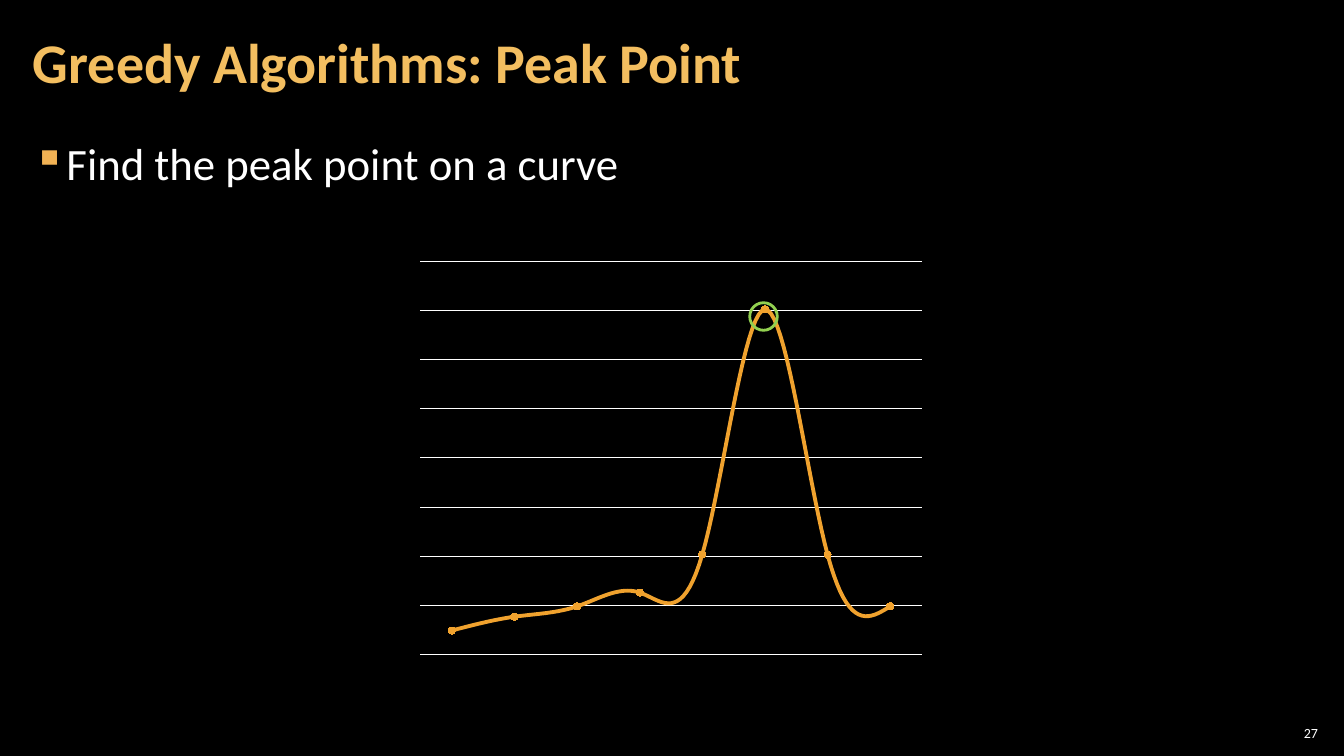
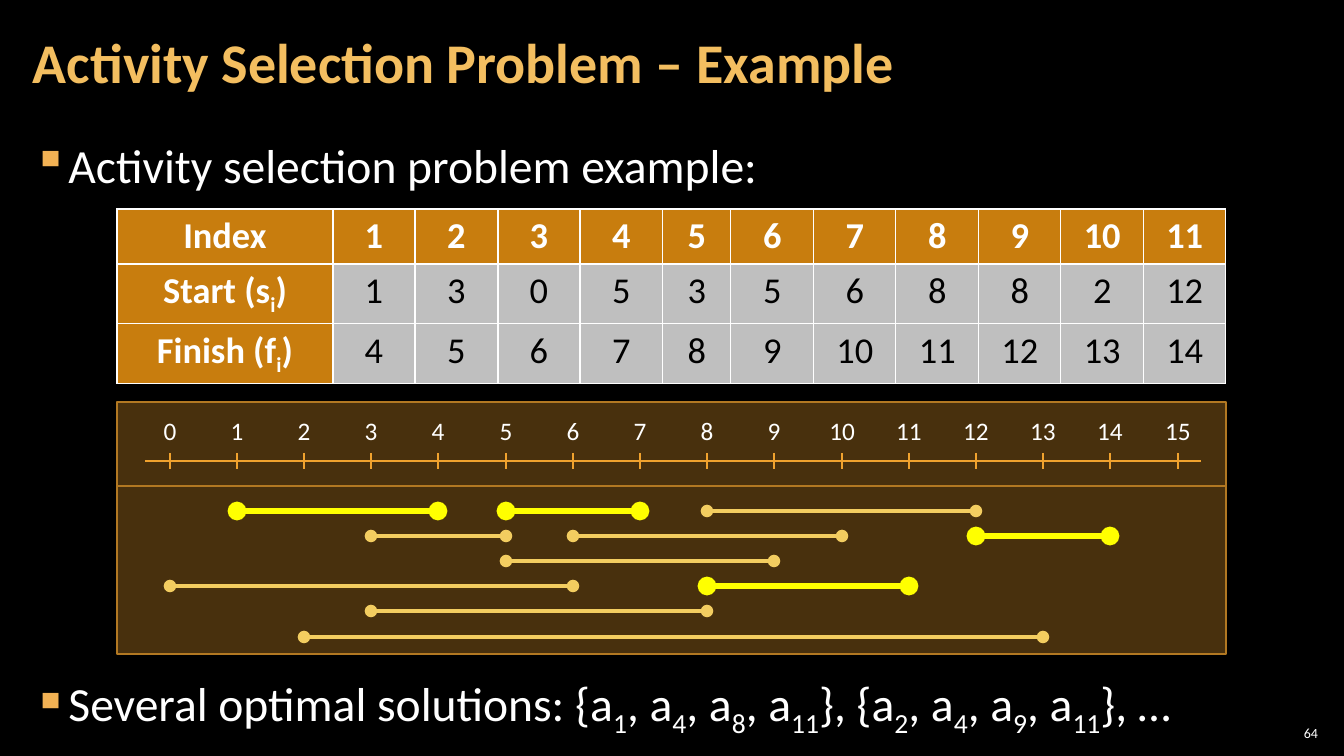
from lxml.etree import SubElement as Sub
from pptx import Presentation
from pptx.chart.data import CategoryChartData as Data
from pptx.dml.color import RGBColor as Rgb
from pptx.enum.chart import XL_CHART_TYPE as Kind, XL_MARKER_STYLE as Mark
from pptx.enum.shapes import MSO_CONNECTOR as Link, MSO_SHAPE as Geo
from pptx.enum.text import MSO_ANCHOR as Anchor, PP_ALIGN as Align
from pptx.oxml.ns import qn
from pptx.util import Pt

WIDE, HIGH = 1344, 756
SCALE = 12192000 / WIDE
FONT = "Calibri"
HUES = {
    "back": "000000", "text": "FFFFFF", "title": "F3BE60", "bullet": "F2B254",
    "main": "F0A22E", "edge": "B27822", "head": "C87D0E", "cell": "BFBFBF",
    "ring": "92D050", "pick": "FFFF00", "rest": "F3CD60",
}
CURVE = [7, 11, 14, 18, 29, 100, 29, 14]
START = [1, 3, 0, 5, 3, 5, 6, 8, 8, 2, 12]
FINISH = [4, 5, 6, 7, 8, 9, 10, 11, 12, 13, 14]
LANES = [0, 1, 3, 0, 4, 2, 1, 3, 0, 5, 1]
PICKS = {1, 4, 8, 11}
LEFT, SPAN = 117, 1109


def px(*vals):
    """Turn pixel lengths into a list of EMU."""
    return [round(val * SCALE) for val in vals]


def hue(name):
    """Look up a colour by name."""
    return Rgb.from_string(HUES[name])


def write(para, text, size, color="text", bold=False):
    """Fill a paragraph, where ~ marks enclose a subscript."""
    first, *rest = text.split("~")
    para.text = first
    for part in rest:
        para.add_run().text = part
    for num, run in enumerate(para.runs):
        font = run.font
        font.name, font.size, font.bold = FONT, Pt(size), bold
        font.color.rgb = hue(color)
        if num % 2:
            run._r.get_or_add_rPr().set("baseline", "-25000")


def inset(frame, side, edge):
    """Set the side and top margins of a text frame."""
    frame.margin_left, frame.margin_right = px(side, side)
    frame.margin_top, frame.margin_bottom = px(edge, edge)


def add_text(slide, box, text, size, align=Align.LEFT, side=10, edge=5):
    """Add a one-paragraph text box and return its paragraph."""
    frame = slide.shapes.add_textbox(*px(*box)).text_frame
    frame.word_wrap = True
    inset(frame, side, edge)
    para = frame.paragraphs[0]
    write(para, text, size)
    para.alignment = align
    return para


def add_bullet(slide, top, text, size):
    """Add a full-width line with a square bullet."""
    para = add_text(slide, (21, top, 1301, 68), text, size, side=12, edge=4)
    props = para._p.get_or_add_pPr()
    hang = px(33)[0]
    props.set("marL", str(hang))
    props.set("indent", str(-hang))
    tint = Sub(props, qn("a:buClr"))
    Sub(tint, qn("a:srgbClr"), val=HUES["bullet"])
    Sub(props, qn("a:buChar"), char="▪")
    para.line_spacing = 1.05


def add_slide(prs, title, number):
    """Add a slide with its title and slide number."""
    slide = prs.slides.add_slide(prs.slide_layouts[5])
    head = slide.shapes.title
    head.left, head.top, head.width, head.height = px(21, 4, 1055, 122)
    frame = head.text_frame
    inset(frame, 12, 4)
    frame.vertical_anchor = Anchor.MIDDLE
    para = frame.paragraphs[0]
    write(para, title, 40, "title", True)
    para.alignment, para.line_spacing = Align.LEFT, 0.9
    add_text(slide, (1275, 720, 47, 21), number, 10, Align.RIGHT, 4, 4)
    return slide


def add_form(slide, geo, box, fill, edge, alpha=None):
    """Add a preset shape, with the fill opacity in percent."""
    form = slide.shapes.add_shape(geo, *px(*box))
    form.shadow.inherit = False
    form.fill.solid()
    form.fill.fore_color.rgb = hue(fill)
    form.line.color.rgb = hue(edge)
    form.line.width = Pt(1)
    if alpha:
        tint = form._element.spPr.find(qn("a:solidFill"))[0]
        Sub(tint, qn("a:alpha"), val=str(alpha * 1000))
    return form


def add_line(slide, ends, color, width, dots=False):
    """Add a straight line, with round ends if wanted."""
    line = slide.shapes.add_connector(Link.STRAIGHT, *px(*ends))
    line.line.color.rgb = hue(color)
    line.line.width = Pt(width)
    props = line._element.spPr
    if dots:
        for tag in ("a:headEnd", "a:tailEnd"):
            Sub(props.find(qn("a:ln")), qn(tag), type="oval")
    Sub(props, qn("a:effectLst"))


def add_curve(slide):
    """Add the smooth curve over bare grid lines."""
    data = Data()
    data.categories = ["1", "2", "3", "4", "5"]
    data.add_series("Series 1", CURVE)
    chart = slide.shapes.add_chart(
        Kind.LINE_MARKERS, *px(410, 253, 522, 410), data).chart
    chart.has_title = chart.has_legend = False
    chart.font.name, chart.font.size = FONT, Pt(10)
    chart.font.color.rgb = hue("text")
    chart.category_axis.visible = False
    axis = chart.value_axis
    axis.visible = False
    axis.minimum_scale, axis.maximum_scale, axis.major_unit = 0, 114, 14.25
    grid = axis.major_gridlines.format.line
    grid.color.rgb, grid.width = hue("text"), Pt(0.75)
    plot = chart.plots[0]
    plot.vary_by_categories = False
    series = plot.series[0]
    series.smooth = True
    line = series.format.line
    line.color.rgb, line.width = hue("main"), Pt(2.75)
    mark = series.marker
    mark.style, mark.size = Mark.CIRCLE, 5
    mark.format.fill.solid()
    mark.format.fill.fore_color.rgb = hue("main")
    mark.format.line.fill.background()


def fill_cell(cell, text, head):
    """Write, border and fill one table cell."""
    para = cell.text_frame.paragraphs[0]
    write(para, text, 26, "text" if head else "back", head)
    para.alignment = Align.CENTER
    props = cell._tc.get_or_add_tcPr()
    for side in "LRTB":
        edge = Sub(props, qn(f"a:ln{side}"), w=str(Pt(1)))
        tint = Sub(edge, qn("a:solidFill"))
        Sub(tint, qn("a:srgbClr"), val=HUES["text"])
    cell.fill.solid()
    cell.fill.fore_color.rgb = hue("head" if head else "cell")


def add_grid(slide):
    """Add the table of start and finish times."""
    rows = [["Index", *range(1, 12)], ["Start (s~i~)", *START],
            ["Finish (f~i~)", *FINISH]]
    wides = [216] + [82, 83] * 2 + [68] + [83, 82] * 3
    highs = [55, 59, 60]
    table = slide.shapes.add_table(
        len(rows), len(wides), *px(LEFT, 209, SPAN, sum(highs))).table
    table.horz_banding = False
    for col, wide in zip(table.columns, px(*wides)):
        col.width = wide
    for row, high in zip(table.rows, px(*highs)):
        row.height = high
    for r, row in enumerate(rows):
        for c, val in enumerate(row):
            fill_cell(table.cell(r, c), str(val), r == 0 or c == 0)


def time_x(hour):
    """Give the pixel column of an hour."""
    return 170 + hour * 336 // 5


def add_times(slide):
    """Add the time axis and one bar for each activity."""
    for top, high in ((486, 168), (402, 84)):
        add_form(slide, Geo.RECTANGLE, (LEFT, top, SPAN, high),
                 "main", "edge", 30)
    add_line(slide, (145, 461, 1201, 461), "main", 2)
    for hour in range(16):
        x = time_x(hour)
        add_line(slide, (x, 453, x, 469), "main", 2)
        add_text(slide, (x - 33, 410, 66, 40), str(hour), 18, Align.CENTER)
    for num, (start, end, lane) in enumerate(zip(START, FINISH, LANES), 1):
        y = 511 + lane * 126 // 5
        color, width = ("pick", 4.5) if num in PICKS else ("rest", 3)
        add_line(slide, (time_x(start), y, time_x(end), y), color, width, True)


def main():
    """Build and save both slides."""
    prs = Presentation()
    prs.slide_width, prs.slide_height = px(WIDE, HIGH)
    back = prs.slide_master.background.fill
    back.solid()
    back.fore_color.rgb = hue("back")

    peak = add_slide(prs, "Greedy Algorithms: Peak Point", "27")
    add_bullet(peak, 129, "Find the peak point on a curve", 32)
    add_curve(peak)
    ring = add_form(peak, Geo.DONUT, (749, 302, 29, 29), "ring", "ring")
    ring.adjustments[0] = 0.05

    acts = add_slide(prs, "Activity Selection Problem – Example", "64")
    add_bullet(acts, 129, "Activity selection problem example:", 34)
    add_grid(acts)
    add_times(acts)
    add_bullet(acts, 667, "Several optimal solutions: {a~1~, a~4~, a~8~, "
               "a~11~}, {a~2~, a~4~, a~9~, a~11~}, …", 34)
    prs.save("out.pptx")


if __name__ == "__main__":
    main()
